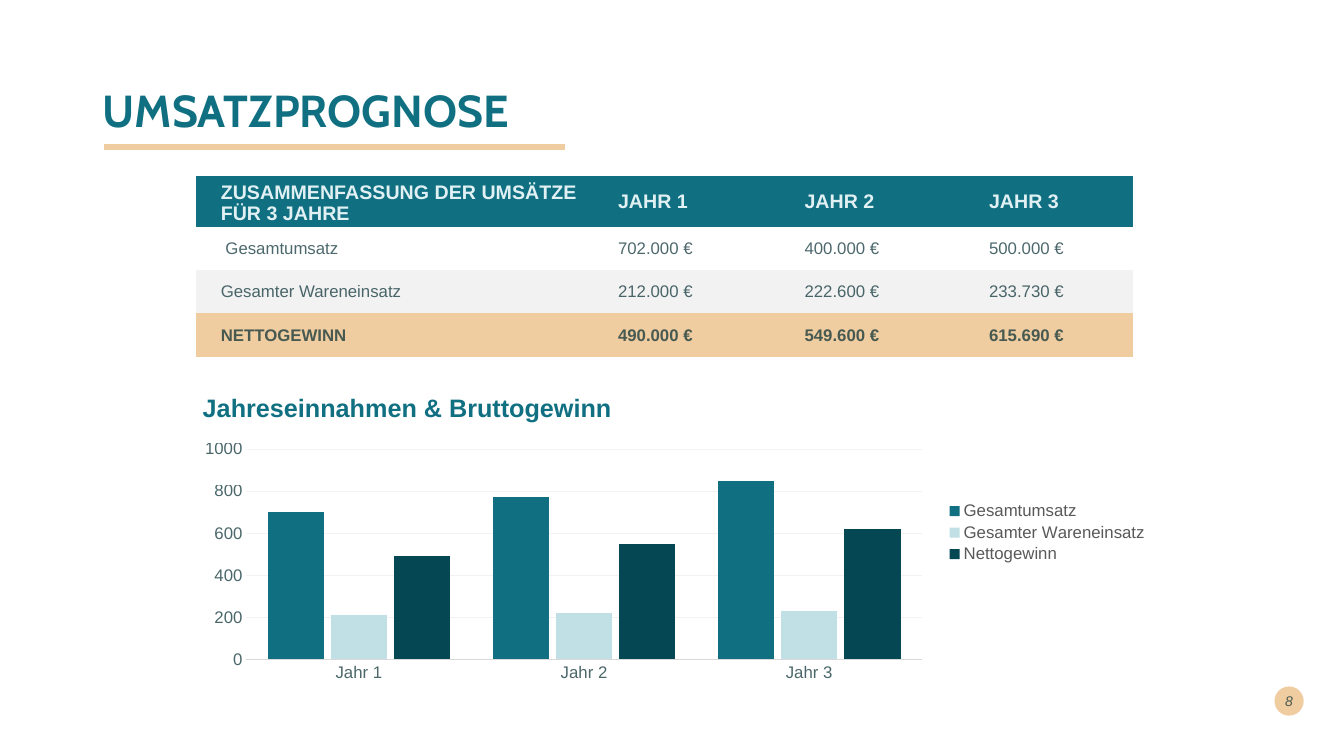
from dataclasses import dataclass

from lxml import etree
from pptx import Presentation
from pptx.chart.data import CategoryChartData
from pptx.dml.color import RGBColor
from pptx.enum.chart import XL_CHART_TYPE, XL_LEGEND_POSITION, XL_TICK_MARK
from pptx.enum.shapes import MSO_CONNECTOR, MSO_SHAPE
from pptx.enum.text import MSO_ANCHOR, PP_ALIGN
from pptx.oxml import parse_xml
from pptx.oxml.ns import nsdecls, qn
from pptx.util import Inches, Pt

COLUMNS = XL_CHART_TYPE.COLUMN_CLUSTERED
LEGEND_RIGHT = XL_LEGEND_POSITION.RIGHT
NO_TICK = XL_TICK_MARK.NONE
STRAIGHT = MSO_CONNECTOR.STRAIGHT
OVAL = MSO_SHAPE.OVAL
MIDDLE = MSO_ANCHOR.MIDDLE
LEFT, RIGHT = PP_ALIGN.LEFT, PP_ALIGN.RIGHT
PLAIN_TABLE_STYLE = "{2D5ABB26-0587-4C30-8999-92F81FD0307C}"


@dataclass(frozen=True)
class Theme:
    heading_font: str = "Cabin"
    body_font: str = "Arial"
    teal: str = "107082"
    dark_teal: str = "054854"
    light_teal: str = "C1E0E6"
    header_text: str = "E0F0F3"
    sand: str = "F0CDA1"
    band: str = "F2F2F2"
    ink: str = "00292E"
    legend: str = "595959"
    axis: str = "D9D9D9"
    ink_opacity: int = 70
    title_size: int = 32
    chart_title_size: int = 18
    header_size: int = 14
    body_size: int = 12
    number_size: int = 10


THEME = Theme()

HEADER = ["ZUSAMMENFASSUNG DER UMSÄTZE FÜR 3 JAHRE", "JAHR\u00a01", "JAHR\u00a02", "JAHR\u00a03"]
# Row text, fill, space before in points
BODY_ROWS = [
    ([" Gesamtumsatz", "702.000 €", "400.000 €", "500.000 €"], None, 4.2),
    (["Gesamter Wareneinsatz", "212.000 €", "222.600 €", "233.730 €"], THEME.band, 3.7),
    (["NETTOGEWINN", "490.000 €", "549.600\u00a0€", "615.690 €"], THEME.sand, 3.7),
]
COLUMN_WIDTHS = [3.81, 1.83, 1.83, 1.83]
COLUMN_INDENTS = [0.25, 0.38, 0.4, 0.4]
ROW_HEIGHTS = [0.5, 0.43, 0.43, 0.43]
YEARS = ["Jahr 1", "Jahr 2", "Jahr 3"]
SERIES = [
    ("Gesamtumsatz", [700, 770, 850], THEME.teal),
    ("Gesamter Wareneinsatz", [210, 220, 230], THEME.light_teal),
    ("Nettogewinn", [490, 550, 620], THEME.dark_teal),
]


def rgb(color):
    return RGBColor.from_string(color)


def apply(target, values):
    for name, value in values.items():
        setattr(target, name, value)


def style_font(font, size, color, name=THEME.body_font, **values):
    apply(font, {"name": name, "size": Pt(size), **values})
    font.color.rgb = rgb(color)
    if color == THEME.ink:
        color_element = font._element.find(".//" + qn("a:srgbClr"))
        alpha = etree.SubElement(color_element, qn("a:alpha"))
        alpha.set("val", str(THEME.ink_opacity * 1000))


def paint(fill, color):
    if color is None:
        fill.background()
    else:
        fill.solid()
        fill.fore_color.rgb = rgb(color)


def style_line(line, color, width):
    line.color.rgb = rgb(color)
    line.width = Pt(width)


def place(shape, *box):
    apply(shape, dict(zip(("left", "top", "width", "height"), map(Inches, box))))


def add_title(slide):
    title = slide.shapes.title
    place(title, 0.92, 0.4, 11.5, 1.45)
    title.text_frame.text = "UMSATZPROGNOSE"
    title.text_frame.vertical_anchor = MIDDLE
    paragraph = title.text_frame.paragraphs[0]
    apply(paragraph, {"alignment": LEFT, "line_spacing": 0.9})
    style_font(paragraph.runs[0].font, THEME.title_size, THEME.teal, THEME.heading_font, bold=True)

    underline = slide.shapes.add_connector(
        STRAIGHT, Inches(1.03), Inches(1.46), Inches(5.6), Inches(1.46))
    style_line(underline.line, THEME.sand, 4.32)
    etree.SubElement(underline._element.spPr, qn("a:effectLst"))


def add_page_number(slide):
    badge = slide.shapes.add_shape(OVAL, *map(Inches, (12.64, 6.81, 0.29, 0.29)))
    badge.shadow.inherit = False
    paint(badge.fill, THEME.sand)
    badge.line.fill.background()

    label = slide.shapes.add_textbox(*map(Inches, (12.53, 6.75, 0.39, 0.4)))
    apply(label.text_frame, {"word_wrap": True, "vertical_anchor": MIDDLE, "text": "8"})
    paragraph = label.text_frame.paragraphs[0]
    paragraph.alignment = RIGHT
    style_font(paragraph.runs[0].font, THEME.number_size, THEME.ink, italic=True)


def fill_row(table, row, texts, fill, space_before, size, color, bold):
    for column, (text, indent) in enumerate(zip(texts, COLUMN_INDENTS)):
        cell = table.cell(row, column)
        apply(cell, {"text": text, "vertical_anchor": MIDDLE, "margin_left": Inches(indent),
                     "margin_right": 0, "margin_top": 0, "margin_bottom": 0})
        paint(cell.fill, fill)
        paragraph = cell.text_frame.paragraphs[0]
        paragraph.space_before = Pt(space_before)
        style_font(paragraph.runs[0].font, size, color, bold=bold)


def add_sales_table(slide):
    frame = slide.shapes.add_table(
        len(ROW_HEIGHTS), len(COLUMN_WIDTHS), *map(Inches, (1.94, 1.75, 9.3, 1.79)))
    table = frame.table
    table.horz_banding = False
    table._tbl.tblPr.find(qn("a:tableStyleId")).text = PLAIN_TABLE_STYLE
    for column, width in zip(table.columns, COLUMN_WIDTHS):
        column.width = Inches(width)
    for row, height in zip(table.rows, ROW_HEIGHTS):
        row.height = Inches(height)

    # Header row, then body rows with a bold total
    fill_row(table, 0, HEADER, THEME.teal, 7.8, THEME.header_size, THEME.header_text, True)
    heading = table.cell(0, 0)
    heading.margin_top = Inches(0.04)
    heading.text_frame.paragraphs[0].line_spacing = Pt(15)
    for row, (texts, fill, space_before) in enumerate(BODY_ROWS, start=1):
        is_total = row == len(BODY_ROWS)
        fill_row(table, row, texts, fill, space_before, THEME.body_size, THEME.ink, is_total)


def set_layout(element, inner=False, **fractions):
    """Give a chart part a fixed place, in fractions of the chart."""
    for old in element.findall(qn("c:layout")):
        element.remove(old)
    target = '<c:layoutTarget val="inner"/>' if inner else ""
    modes = "".join(f'<c:{key}Mode val="edge"/>' for key in ("x", "y"))
    values = "".join(f'<c:{key} val="{value}"/>' for key, value in fractions.items())
    layout = parse_xml(f'<c:layout {nsdecls("c")}><c:manualLayout>{target}{modes}{values}'
                       '</c:manualLayout></c:layout>')
    before = element.find(qn("c:tx"))
    if before is None:
        before = element.find(qn("c:legendPos"))
    position = 0 if before is None else element.index(before) + 1
    element.insert(position, layout)


def style_axes(chart):
    for axis in (chart.category_axis, chart.value_axis):
        apply(axis, {"major_tick_mark": NO_TICK, "minor_tick_mark": NO_TICK})
        style_font(axis.tick_labels.font, THEME.body_size, THEME.ink)
    style_line(chart.category_axis.format.line, THEME.axis, 0.75)
    values = chart.value_axis
    apply(values, {"minimum_scale": 0, "maximum_scale": 1000, "major_unit": 200})
    values.format.line.fill.background()
    style_line(values.major_gridlines.format.line, THEME.band, 0.25)


def add_revenue_chart(slide):
    data = CategoryChartData()
    data.categories = YEARS
    for name, values, _ in SERIES:
        data.add_series(name, values)
    chart = slide.shapes.add_chart(
        COLUMNS, *map(Inches, (1.87, 3.75, 9.57, 3.07)), data).chart
    apply(chart.font, {"name": THEME.body_font, "size": Pt(THEME.number_size)})

    # Title and legend
    title = chart.chart_title
    title.text_frame.text = "Jahreseinnahmen & Bruttogewinn"
    title.include_in_layout = False
    run = title.text_frame.paragraphs[0].runs[0]
    style_font(run.font, THEME.chart_title_size, THEME.teal, bold=True)
    set_layout(title._element, x=0.01, y=0.03)
    chart.has_legend = True
    apply(chart.legend, {"position": LEGEND_RIGHT, "include_in_layout": False})
    style_font(chart.legend.font, THEME.body_size, THEME.legend)
    set_layout(chart.legend._element, x=0.78, y=0.39, w=0.22, h=0.22)

    # Columns
    plot = chart.plots[0]
    apply(plot, {"gap_width": 75, "overlap": -12, "vary_by_categories": False})
    for series, (_, _, color) in zip(plot.series, SERIES):
        paint(series.format.fill, color)
    style_axes(chart)
    set_layout(chart._chartSpace.chart.plotArea, inner=True, x=0.06, y=0.23, w=0.7, h=0.68)


def main():
    presentation = Presentation()
    apply(presentation, {"slide_width": Inches(13.33), "slide_height": Inches(7.5)})
    slide = presentation.slides.add_slide(presentation.slide_layouts[5])
    add_title(slide)
    add_page_number(slide)
    add_sales_table(slide)
    add_revenue_chart(slide)
    presentation.save("out.pptx")


if __name__ == "__main__":
    main()
